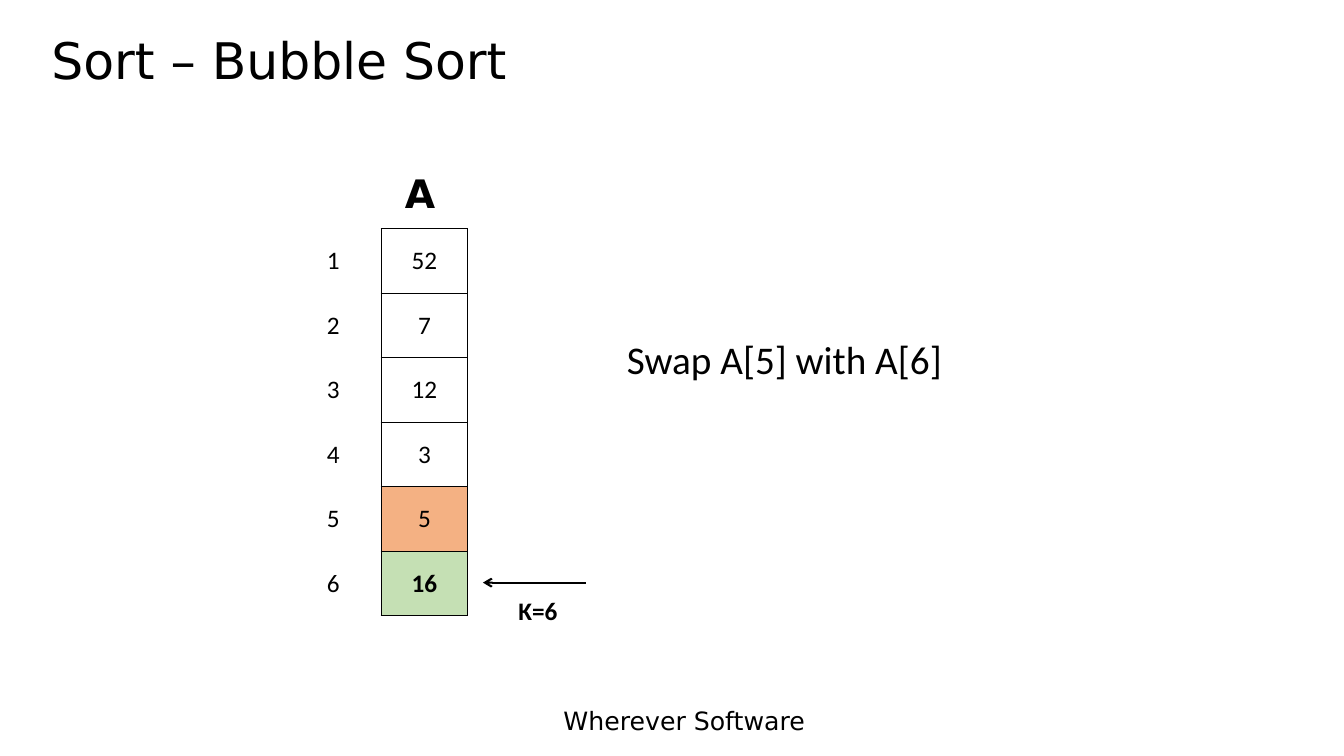
"""Build the bubble sort slide showing the swap of A[5] and A[6]."""
from dataclasses import dataclass

from lxml import etree
from pptx import Presentation
from pptx import util as u
from pptx.dml.color import RGBColor
from pptx.enum import shapes, text
from pptx.oxml import ns

COLORS = {"ink": "000000", "paper": "FFFFFF", "compared": "F4B183", "current": "C5E0B4"}
HEADING_FONT = "DejaVu Sans"
BODY_FONT = "Calibri"
TABLE_TOP = 2.27
ROW_HEIGHT = 0.64
ARROW_Y = 5.78


@dataclass(frozen=True)
class Label:
    """A line of text with its place and format."""

    words: str
    box: tuple[float, float, float, float]
    size: int = 18
    font: str = BODY_FONT
    bold: bool = False
    align: text.PP_ALIGN = text.PP_ALIGN.LEFT


@dataclass(frozen=True)
class Cell:
    """One table entry with its fill colour name."""

    words: str
    fill: str = "paper"
    bold: bool = False


@dataclass(frozen=True)
class Column:
    """A single-column table."""

    left: float
    width: float
    cells: tuple[Cell, ...]
    bordered: bool


TITLE = Label("Sort – Bubble Sort", (0.41, 0.15, 12.01, 0.95), 36, HEADING_FONT)
LABELS = (
    Label("Wherever Software", (5.49, 6.95, 2.9, 0.4), font=HEADING_FONT),
    Label("Κ=6", (4.79, 5.86, 1.09, 0.4), bold=True, align=text.PP_ALIGN.CENTER),
    Label("Swap A[5] with A[6]", (6.12, 3.28, 5.16, 0.57), 28),
    Label("A", (3.54, 1.63, 1.25, 0.57), 28, HEADING_FONT, True, text.PP_ALIGN.CENTER),
)
VALUES = (
    Cell("52"), Cell("7"), Cell("12"), Cell("3"),
    Cell("5", "compared"), Cell("16", "current", True),
)
INDEXES = tuple(Cell(str(index)) for index in range(1, len(VALUES) + 1))
COLUMNS = (Column(3.78, 0.86, VALUES, True), Column(3.07, 0.47, INDEXES, False))


def color(name: str) -> RGBColor:
    """Return the named colour."""
    return RGBColor.from_string(COLORS[name])


def write(text_frame, label: Label) -> None:
    """Put a formatted label into a text frame."""
    text_frame.text = label.words
    paragraph = text_frame.paragraphs[0]
    paragraph.alignment = label.align
    font = paragraph.runs[0].font
    font.name, font.size, font.bold = label.font, u.Pt(label.size), label.bold
    font.color.rgb = color("ink")


def add_title(slide, label: Label) -> None:
    """Place and format the title placeholder."""
    title = slide.shapes.title
    title.left, title.top, title.width, title.height = map(u.Inches, label.box)
    write(title.text_frame, label)
    title.text_frame.vertical_anchor = text.MSO_ANCHOR.MIDDLE
    title.text_frame.paragraphs[0].line_spacing = 0.9


def add_label(slide, label: Label) -> None:
    """Add a wrapping text box."""
    shape = slide.shapes.add_textbox(*map(u.Inches, label.box))
    shape.text_frame.word_wrap = True
    write(shape.text_frame, label)


def add_borders(table_cell) -> None:
    """Draw a thin line on every side of a cell."""
    properties = table_cell._tc.get_or_add_tcPr()
    for side in ("a:lnL", "a:lnR", "a:lnT", "a:lnB"):
        line = etree.SubElement(properties, ns.qn(side), w=str(u.Pt(1)))
        fill = etree.SubElement(line, ns.qn("a:solidFill"))
        etree.SubElement(fill, ns.qn("a:srgbClr"), val=COLORS["ink"])


def add_column(slide, column: Column) -> None:
    """Add a one-column table with equal rows."""
    count = len(column.cells)
    box = (column.left, TABLE_TOP, column.width, ROW_HEIGHT * count)
    table = slide.shapes.add_table(count, 1, *map(u.Inches, box)).table
    table.first_row = table.horz_banding = False
    for row, cell in enumerate(column.cells):
        table_cell = table.cell(row, 0)
        table_cell.vertical_anchor = text.MSO_ANCHOR.MIDDLE
        if column.bordered:
            add_borders(table_cell)
        table_cell.fill.solid()
        table_cell.fill.fore_color.rgb = color(cell.fill)
        label = Label(cell.words, box, bold=cell.bold, align=text.PP_ALIGN.CENTER)
        write(table_cell.text_frame, label)


def add_arrow(slide, start: float, end: float, y: float) -> None:
    """Add a horizontal arrow pointing at its end."""
    points = map(u.Inches, (start, y, end, y))
    arrow = slide.shapes.add_connector(shapes.MSO_CONNECTOR.STRAIGHT, *points)
    arrow.line.color.rgb = color("ink")
    arrow.line.width = u.Pt(1.5)
    etree.SubElement(arrow.line._get_or_add_ln(), ns.qn("a:tailEnd"), type="arrow")
    etree.SubElement(arrow._element.spPr, ns.qn("a:effectLst"))


def main() -> None:
    """Create and save the presentation."""
    presentation = Presentation()
    presentation.slide_width = u.Inches(13.33)
    presentation.slide_height = u.Inches(7.5)
    layout = presentation.slide_layouts.get_by_name("Title Only")
    slide = presentation.slides.add_slide(layout)
    add_title(slide, TITLE)
    for column in COLUMNS:
        add_column(slide, column)
    add_arrow(slide, 5.81, 4.79, ARROW_Y)
    for label in LABELS:
        add_label(slide, label)
    presentation.save("out.pptx")


if __name__ == "__main__":
    main()
